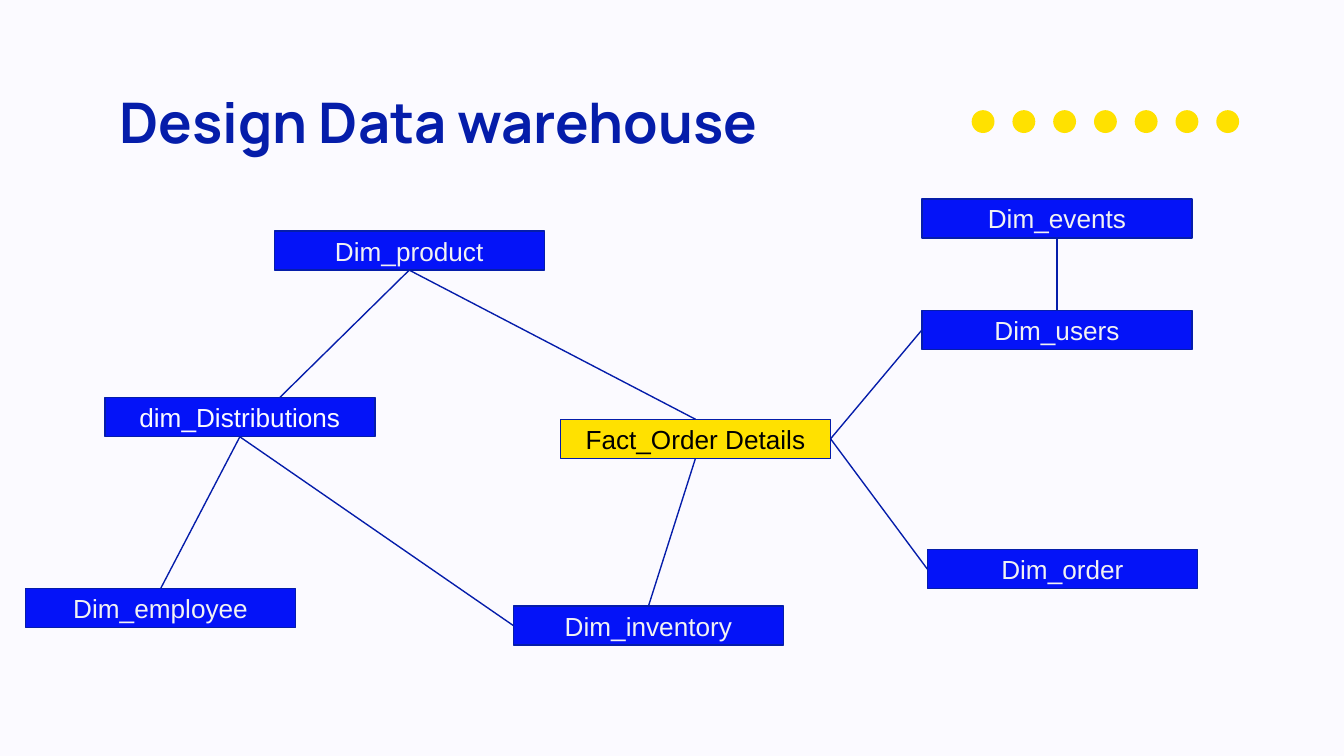
from pptx import Presentation
from pptx.dml.color import RGBColor
from pptx.enum.shapes import MSO_CONNECTOR as Connector, MSO_SHAPE as Shape
from pptx.enum.text import MSO_ANCHOR as Anchor, PP_ALIGN as Align
from pptx.oxml.ns import qn
from pptx.util import Inches, Pt
from lxml import etree

COLORS = {
    "background": "FBFAFF", "navy": "051DAA", "blue": "0413F8",
    "yellow": "FFE100", "black": "000000", "light": "F2F2F2",
}

TITLE = "Design Data warehouse"

# Table name: left, top, fill, text colour
TABLES = {
    "Fact_Order Details": (4.17, 3.12, "yellow", "black"),
    "Dim_employee": (0.19, 4.38, "blue", "light"),
    "Dim_users": (6.86, 2.31, "blue", "light"),
    "Dim_events": (6.86, 1.48, "blue", "light"),
    "Dim_order": (6.9, 4.09, "blue", "light"),
    "Dim_inventory": (3.82, 4.51, "blue", "light"),
    "Dim_product": (2.04, 1.72, "blue", "light"),
    "dim_Distributions": (0.78, 2.96, "blue", "background"),
}
TABLE_WIDTH, TABLE_HEIGHT = 2.01, 0.29

# Connection sites of a rectangle
TOP, LEFT, BOTTOM, RIGHT = range(4)
LINKS = [
    ("Fact_Order Details", BOTTOM, "Dim_inventory", TOP),
    ("Dim_order", LEFT, "Fact_Order Details", RIGHT),
    ("Dim_product", BOTTOM, "Fact_Order Details", TOP),
    ("Dim_users", LEFT, "Fact_Order Details", RIGHT),
    ("Dim_product", BOTTOM, "dim_Distributions", BOTTOM),
    ("Dim_events", BOTTOM, "Dim_users", TOP),
    ("Dim_employee", TOP, "dim_Distributions", BOTTOM),
    ("Dim_inventory", LEFT, "dim_Distributions", BOTTOM),
]

DOT_COUNT, DOT_TOP, DOT_SIZE = 7, 0.82, 0.17
FIRST_DOT_LEFT, LAST_DOT_LEFT = 7.23, 9.05


def color(name):
    return RGBColor.from_string(COLORS[name])


def add_filled(slide, kind, left, top, width, height, fill):
    shape = slide.shapes.add_shape(
        kind, Inches(left), Inches(top), Inches(width), Inches(height))
    shape.shadow.inherit = False
    shape.fill.solid()
    shape.fill.fore_color.rgb = color(fill)
    shape.line.fill.background()
    return shape


def set_text(shape, text, font_name, size, text_color, align, bold=False):
    frame = shape.text_frame
    frame.text = text
    frame.word_wrap = True
    frame.vertical_anchor = Anchor.MIDDLE
    frame.margin_left = frame.margin_right = Inches(0.1)
    frame.margin_top = frame.margin_bottom = Inches(0.1)
    paragraph = frame.paragraphs[0]
    paragraph.alignment = align
    font = paragraph.runs[0].font
    font.name, font.size, font.bold = font_name, Pt(size), bold
    font.color.rgb = color(text_color)


def set_outline(shape):
    shape.line.color.rgb = color("navy")
    shape.line.width = Pt(0.75)


def add_table_box(slide, name):
    left, top, fill, text_color = TABLES[name]
    box = add_filled(slide, Shape.RECTANGLE, left, top, TABLE_WIDTH, TABLE_HEIGHT, fill)
    set_outline(box)
    set_text(box, name, "Arial", 14, text_color, Align.CENTER)
    return box


def add_link(slide, start, start_site, end, end_site):
    link = slide.shapes.add_connector(Connector.STRAIGHT, 0, 0, 0, 0)
    link.begin_connect(start, start_site)
    link.end_connect(end, end_site)
    set_outline(link)
    etree.SubElement(link._element.spPr, qn("a:effectLst"))


# Widescreen slide, 16:9
presentation = Presentation()
presentation.slide_width = Inches(10)
presentation.slide_height = Inches(10 * 9 / 16)
slide = presentation.slides.add_slide(presentation.slide_layouts[6])
slide.background.fill.solid()
slide.background.fill.fore_color.rgb = color("background")

# Row of dots
dot_step = (LAST_DOT_LEFT - FIRST_DOT_LEFT) / (DOT_COUNT - 1)
for index in range(DOT_COUNT):
    add_filled(slide, Shape.OVAL, FIRST_DOT_LEFT + index * dot_step, DOT_TOP,
               DOT_SIZE, DOT_SIZE, "yellow")

# Title
title = slide.shapes.add_textbox(Inches(0.79), Inches(0.59), Inches(8.43), Inches(0.63))
set_text(title, TITLE, "Manrope", 30, "navy", Align.LEFT, bold=True)

# Tables and the links between them
boxes = {name: add_table_box(slide, name) for name in TABLES}
for start, start_site, end, end_site in LINKS:
    add_link(slide, boxes[start], start_site, boxes[end], end_site)

# The distributions box covers the line that runs to its lower edge
front = boxes["dim_Distributions"]._element
front.getparent().append(front)

presentation.save("out.pptx")
